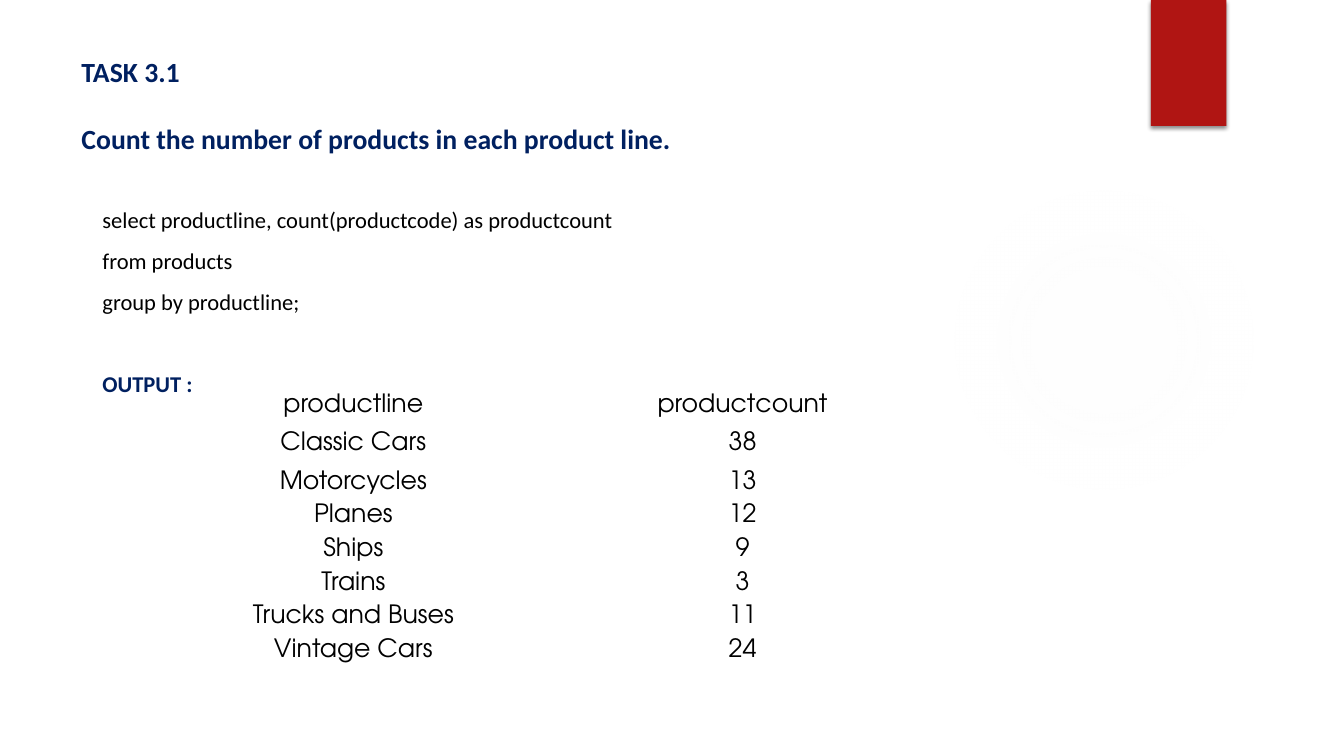
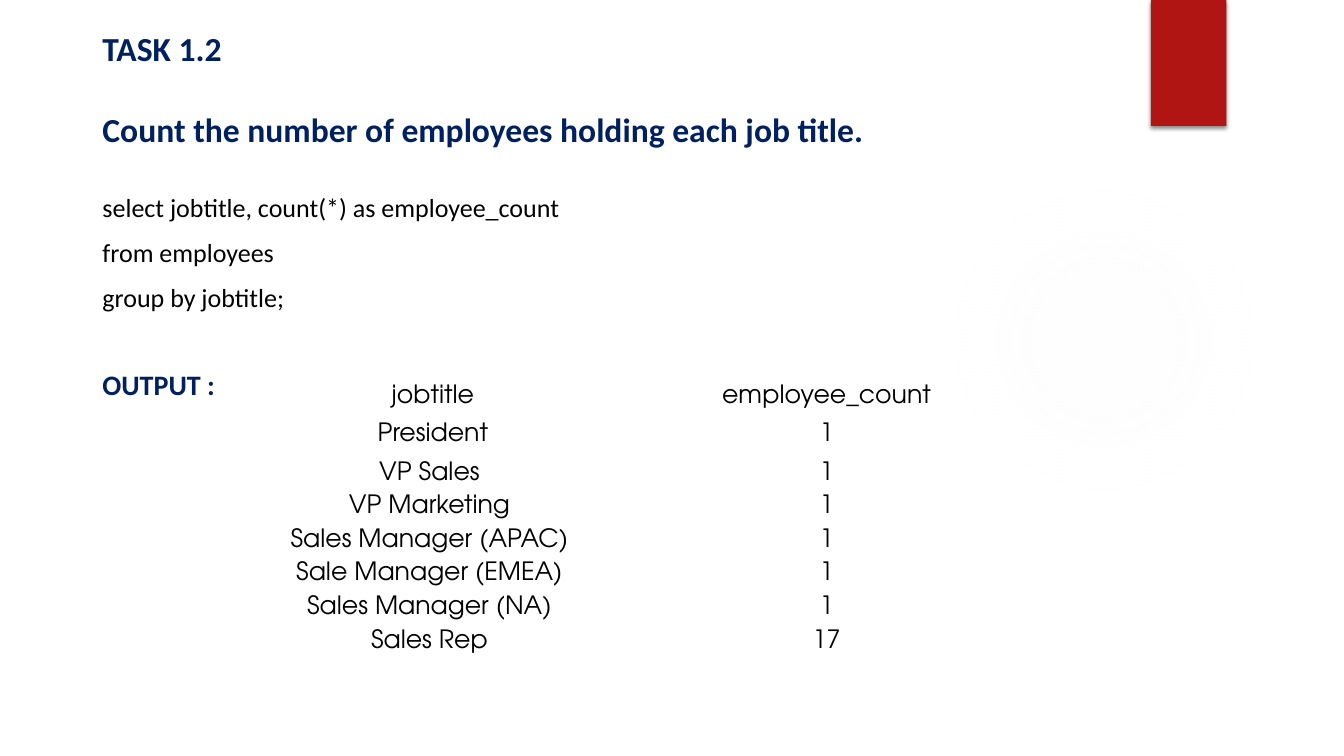
from lxml import etree
from pptx import Presentation
from pptx.dml.color import RGBColor
from pptx.enum.shapes import MSO_SHAPE
from pptx.enum.text import MSO_ANCHOR, MSO_AUTO_SIZE, PP_ALIGN
from pptx.oxml import parse_xml
from pptx.oxml.ns import nsdecls, qn
from pptx.util import Pt

RECT, OVAL = MSO_SHAPE.RECTANGLE, MSO_SHAPE.OVAL
TOP, MIDDLE = MSO_ANCHOR.TOP, MSO_ANCHOR.MIDDLE
LEFT, CENTER = PP_ALIGN.LEFT, PP_ALIGN.CENTER
FIXED = MSO_AUTO_SIZE.NONE

NAVY, BLACK, RED, GREY = "002060", "000000", "B01513", "F3F3F3"
SANS, GEO = "Calibri", "TeX Gyre Adventor"
LINE = 1.22  # line height of SANS per point of size
ROW, GAP, PAD = 24, 10.3, 3.6
PLAIN = "{2D5ABB26-0587-4C30-8999-92F81FD0307C}"  # table style without grid

TASKS = [
    dict(
        title=["TASK 3.1", "Count the number of products in each product line."],
        title_box=(51, 35.5, 741, 110), title_size=19.8,
        query=["select productline, count(productcode) as productcount",
               "from products", "group by productline;"],
        body_box=(66, 143.7, 828, 132), sizes=(16.1, 16.1),
        spot=(118.4, 270.7), cols=(268, 288),
        rows=[("productline\nClassic Cars", "productcount\n38"),
              ("Motorcycles", "13"), ("Planes", "12"), ("Ships", "9"),
              ("Trains", "3"), ("Trucks and Buses", "11"),
              ("Vintage Cars", "24")]),
    dict(
        title=["TASK 1.2", "Count the number of employees holding each job title."],
        title_box=(66, 16.3, 828, 104.4), title_size=24,
        query=["select jobtitle, count(*) as employee_count",
               "from employees", "group by jobtitle;"],
        body_box=(66, 133.2, 828, 140.4), sizes=(18.6, 20.1),
        spot=(164.9, 264.2), cols=(283.7, 283.7),
        rows=[(" jobtitle\n President", "employee_count\n1"),
              ("VP Sales", "1"), ("VP Marketing", "1"),
              ("Sales Manager (APAC)", "1"), ("Sale Manager (EMEA)", "1"),
              ("Sales Manager (NA)", "1"), ("Sales Rep", "17")]),
]


def color(code):
    return RGBColor.from_string(code)


def style(para, face, size, code, bold=False, align=LEFT, before=0):
    font = para.font
    font.name, font.size, font.bold = face, Pt(size), bold
    font.color.rgb = color(code)
    para.alignment, para.space_before = align, Pt(before)


def place(holder, box):
    """Move a placeholder to box and return its fixed text frame."""
    holder.left, holder.top, holder.width, holder.height = map(Pt, box)
    frame = holder.text_frame
    frame.auto_size, frame.vertical_anchor = FIXED, TOP
    frame.word_wrap = True
    return frame


def shape(slide, kind, box):
    item = slide.shapes.add_shape(kind, *map(Pt, box))
    item.shadow.inherit = False
    item.line.fill.background()
    return item


def add_glow(slide):
    glow = shape(slide, OVAL, (677.5, 131.8, 221.8, 221.8))
    stops = "".join(
        f'<a:gs pos="{pos}000"><a:srgbClr val="{GREY}">'
        f'<a:alpha val="{alpha}000"/></a:srgbClr></a:gs>'
        for pos, alpha in ((0, 7), (36, 6), (69, 0), (100, 0)))
    fill = parse_xml(
        f'<a:gradFill {nsdecls("a")}><a:gsLst>{stops}</a:gsLst>'
        '<a:path path="circle"><a:fillToRect l="50000" t="50000" '
        'r="50000" b="50000"/></a:path></a:gradFill>')
    glow.element.spPr.find(qn("a:prstGeom")).addnext(fill)
    return glow


def add_band(slide):
    band = shape(slide, RECT, (822, 0, 54, 90))
    band.fill.solid()
    band.fill.fore_color.rgb = color(RED)
    effects = band.element.spPr.find(qn("a:effectLst"))
    shade = etree.SubElement(effects, qn("a:outerShdw"), blurRad=str(Pt(3)),
                             dist=str(Pt(2)), dir="5400000", rotWithShape="0")
    tint = etree.SubElement(shade, qn("a:srgbClr"), val=BLACK)
    etree.SubElement(tint, qn("a:alpha"), val="45000")
    return band


def share(layout, slide):
    """Move the common decoration from a slide to its layout."""
    for item in (add_glow(slide), add_band(slide)):
        layout.shapes.element.append(item.element)


def fill_title(slide, lines, box, size):
    frame = place(slide.shapes.title, box)
    frame.text = "\n".join(lines)
    for i, para in enumerate(frame.paragraphs):
        style(para, SANS, size, NAVY, True, before=i * LINE * size)


def fill_body(slide, query, box, sizes):
    frame = place(slide.placeholders[1], box)
    frame.text = "\n".join(query + ["OUTPUT :"])
    *code, label = frame.paragraphs
    for i, para in enumerate(code):
        style(para, SANS, sizes[0], BLACK, before=9.8 if i else 0)
    style(label, SANS, sizes[1], NAVY, True, before=39.2)
    for para in frame.paragraphs:
        props = para._p.get_or_add_pPr()
        props.set("marL", "0")
        props.set("indent", "0")
        etree.SubElement(props, qn("a:buNone"))


def fill_cell(cell, text, pad):
    cell.fill.background()
    cell.margin_top, cell.margin_bottom = Pt(pad), 0
    cell.vertical_anchor = MIDDLE
    cell.text = text
    for i, para in enumerate(cell.text_frame.paragraphs):
        style(para, GEO, 18, BLACK, align=CENTER, before=i * GAP)


def add_grid(slide, rows, spot, cols):
    head = PAD + 2 * ROW + GAP
    high = head + ROW * (len(rows) - 1)
    table = slide.shapes.add_table(
        len(rows), len(cols), *map(Pt, (*spot, sum(cols), high))).table
    table.first_row = table.horz_banding = False
    table._tbl.tblPr.find(qn("a:tableStyleId")).text = PLAIN
    for col, wide in zip(table.columns, cols):
        col.width = Pt(wide)
    for i, (row, texts) in enumerate(zip(table.rows, rows)):
        row.height = Pt(ROW if i else head)
        for cell, text in zip(row.cells, texts):
            fill_cell(cell, text, 0 if i else PAD)


def add_task(deck, layout, task):
    slide = deck.slides.add_slide(layout)
    fill_title(slide, task["title"], task["title_box"], task["title_size"])
    fill_body(slide, task["query"], task["body_box"], task["sizes"])
    add_grid(slide, task["rows"], task["spot"], task["cols"])
    return slide


def main():
    deck = Presentation()
    deck.slide_width, deck.slide_height = Pt(960), Pt(540)
    layout = deck.slide_layouts[1]
    slides = [add_task(deck, layout, task) for task in TASKS]
    share(layout, slides[0])
    deck.save("out.pptx")


if __name__ == "__main__":
    main()
